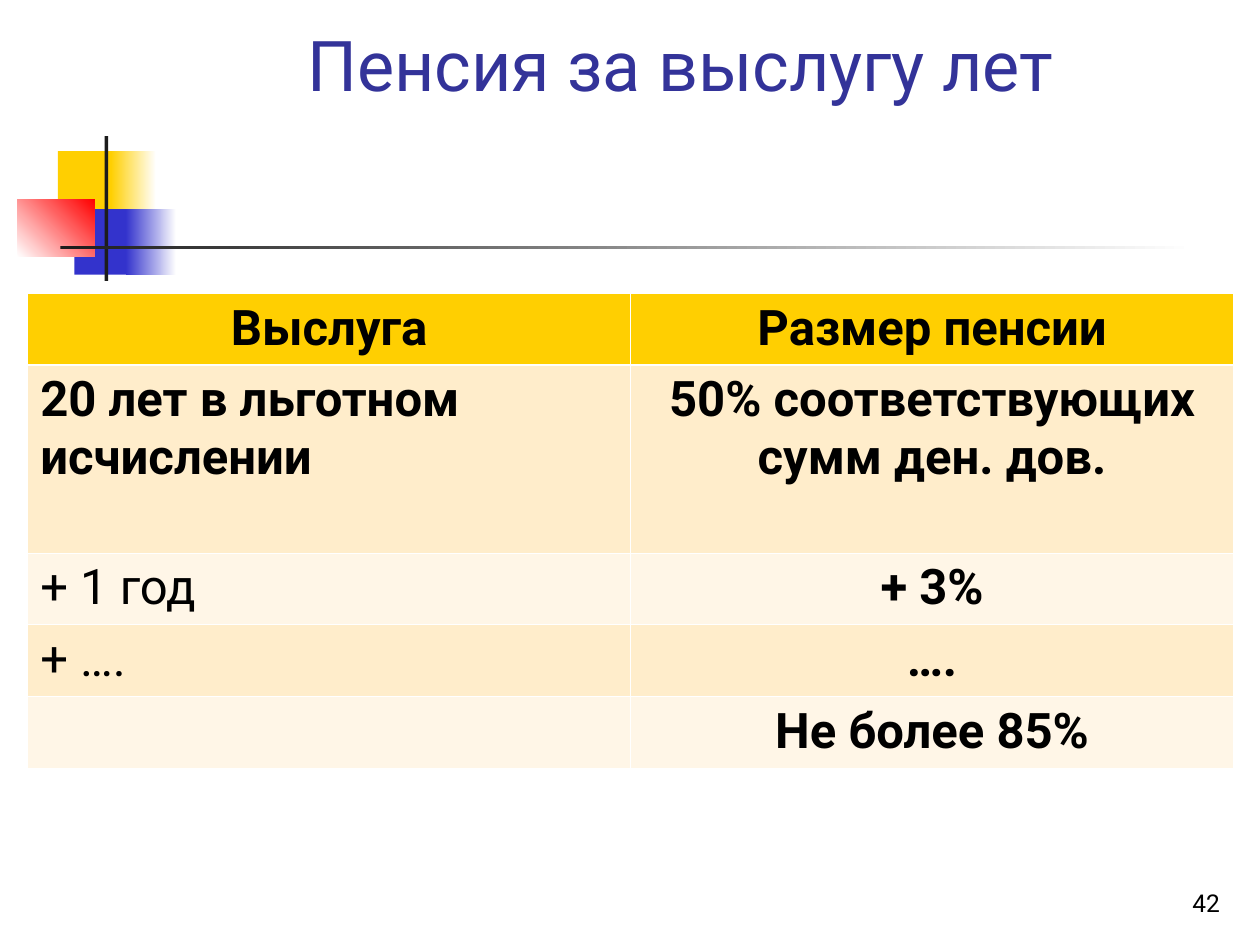
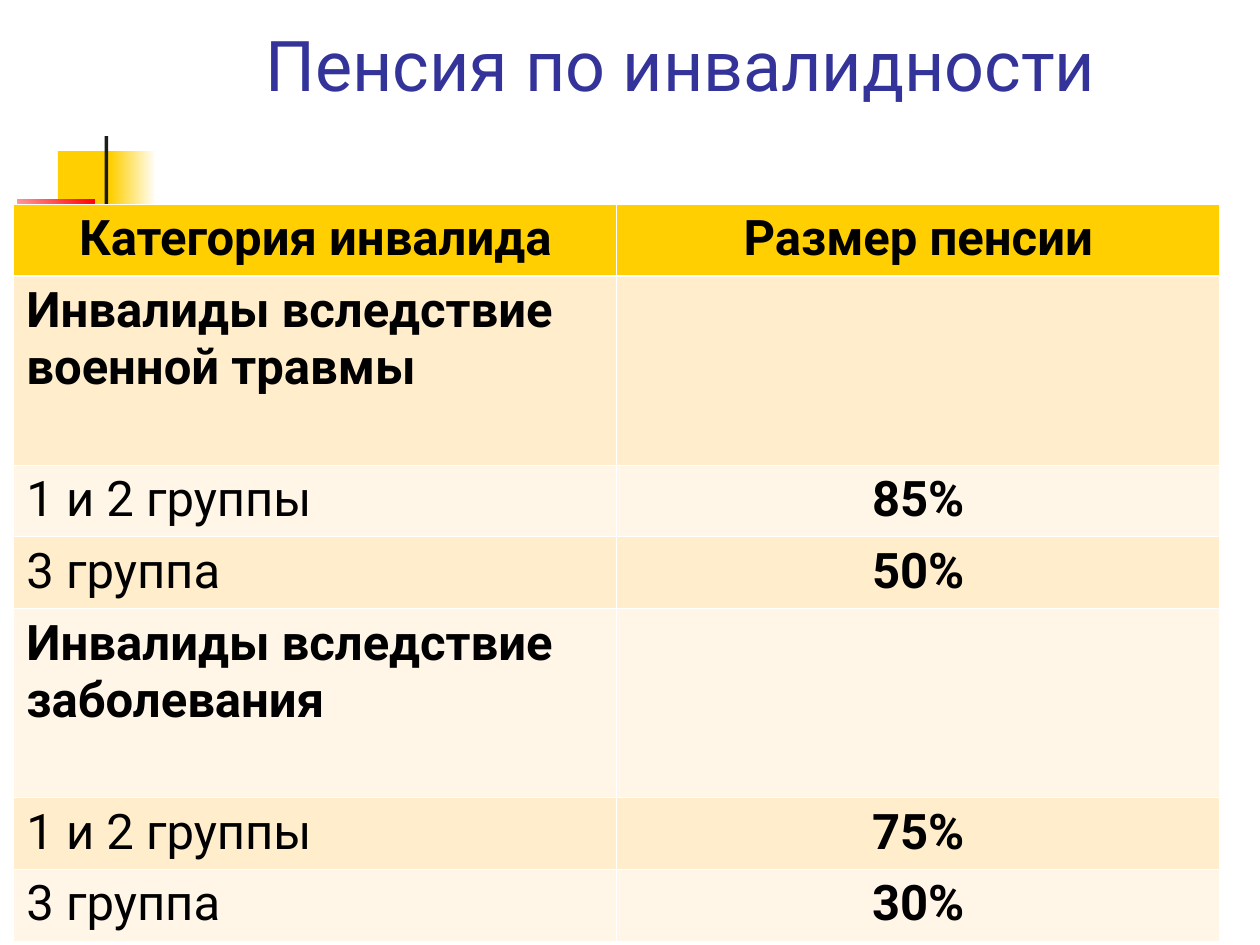
from typing import NamedTuple, Optional

from lxml.etree import SubElement
from pptx import Presentation
from pptx.dml.color import RGBColor as RGB
from pptx.enum.shapes import MSO_SHAPE as Shape
from pptx.enum.text import MSO_ANCHOR as Anchor, PP_ALIGN as Align
from pptx.oxml.ns import qn
from pptx.util import Emu, Inches, Pt

COLS, ROWS = 100, 75
WIDTH, HEIGHT = Inches(10), Inches(7.5)
FONT = "Roboto"
COLORS = {
    "white": "FFFFFF", "yellow": "FFCF01", "blue": "3333CC", "red": "FF0000",
    "dark": "1C1C1C", "title": "333399", "text": "000000",
    "band": "FFEDCB", "pale": "FFF6E7",
}
THIN, THICK = 0.45, 1.47
TABLE_COLS, ROW_H = 95.7, 5.7


class Box(NamedTuple):
    col: float
    row: float
    cols: float
    rows: float


class Block(NamedTuple):
    box: Box
    color: str
    fade_to: Optional[str] = None
    angle: int = 0


class Row(NamedTuple):
    label: str
    value: str = ""
    tall: bool = False


class Page(NamedTuple):
    title: str
    col: float
    row: float
    tall_h: float
    header: Row
    rows: list[Row]
    number: str = ""


EMBLEM = [
    Block(Box(4.6, 12, 4.8, 5.2), "yellow"),
    Block(Box(8.8, 12, 3.6, 5.2), "yellow", "white"),
    Block(Box(5.9, 16.6, 4.6, 5.2), "blue"),
    Block(Box(10, 16.6, 4, 5.2), "blue", "white"),
    Block(Box(1.4, 15.8, 6.1, 4.6), "white", "red", 45),
    Block(Box(8.3, 10.8, 0.3, 11.5), "dark"),
    Block(Box(4.8, 19.5, 90, 0.3), "dark", "white"),
]
TITLE_BOX = Box(11.4, 0.5, 85.2, 8.4)
NUMBER_BOX = Box(77, 68.3, 20.8, 5)

PAGES = [
    Page("Пенсия за выслугу лет", 2.2, 23.3, 14.9,
         Row("Выслуга", "Размер пенсии"),
         [Row("20 лет в льготном исчислении",
              "50% соответствующих сумм ден. дов.", True),
          Row("+ 1 год", "+ 3%"),
          Row("+ ….", "…."),
          Row("", "Не более 85%")],
         "42"),
    Page("Пенсия по инвалидности", 1.1, 16.2, 15,
         Row("Категория инвалида", "Размер пенсии"),
         [Row("Инвалиды вследствие военной травмы", tall=True),
          Row("1 и 2 группы", "85%"),
          Row("3 группа", "50%"),
          Row("Инвалиды вследствие заболевания", tall=True),
          Row("1 и 2 группы", "75%"),
          Row("3 группа", "30%")]),
]


def rgb(name: str) -> RGB:
    return RGB.from_string(COLORS[name])


def across(cols: float) -> Emu:
    return Emu(round(WIDTH * cols / COLS))


def down(rows: float) -> Emu:
    return Emu(round(HEIGHT * rows / ROWS))


def place(box: Box) -> tuple[Emu, Emu, Emu, Emu]:
    return across(box.col), down(box.row), across(box.cols), down(box.rows)


def write(tf, text: str, size: float, align: Align,
          color: str = "text", bold: bool = False) -> None:
    p = tf.paragraphs[0]
    p.alignment = align
    if not text:
        return
    r = p.add_run()
    r.text = text
    r.font.name, r.font.size, r.font.bold = FONT, Pt(size), bold
    r.font.color.rgb = rgb(color)


def add_block(s, block: Block) -> None:
    sp = s.shapes.add_shape(Shape.RECTANGLE, *place(block.box))
    sp.shadow.inherit = False
    sp.line.fill.background()
    if block.fade_to is None:
        sp.fill.solid()
        sp.fill.fore_color.rgb = rgb(block.color)
        return
    sp.fill.gradient()
    sp.fill.gradient_angle = block.angle
    ends = zip(sp.fill.gradient_stops, (block.color, block.fade_to), (0, 1))
    for stop, color, position in ends:
        stop.color.rgb = rgb(color)
        stop.position = position


def add_text(s, box: Box, text: str, size: float, align: Align, color: str) -> None:
    tf = s.shapes.add_textbox(*place(box)).text_frame
    tf.word_wrap = True
    tf.vertical_anchor = Anchor.BOTTOM
    write(tf, text, size, align, color)


def set_borders(cell, top: float, bottom: float) -> None:
    tc_pr = cell._tc.get_or_add_tcPr()
    for side, width in zip("LRTB", (THIN, THIN, top, bottom)):
        ln = SubElement(tc_pr, qn(f"a:ln{side}"), w=str(Pt(width)))
        fill = SubElement(ln, qn("a:solidFill"))
        SubElement(fill, qn("a:srgbClr"), val=COLORS["white"])


def add_pension_table(s, page: Page) -> None:
    rows = [page.header, *page.rows]
    heights = [page.tall_h if row.tall else ROW_H for row in rows]
    box = Box(page.col, page.row, TABLE_COLS, sum(heights))
    table = s.shapes.add_table(len(rows), 2, *place(box)).table
    table.first_row = table.horz_banding = False
    for column in table.columns:
        column.width = across(TABLE_COLS / 2)
    for i, (row, height) in enumerate(zip(rows, heights)):
        table.rows[i].height = down(height)
        is_header = i == 0
        fill = "yellow" if is_header else ("pale", "band")[i % 2]
        label_align = Align.CENTER if is_header else Align.LEFT
        label, value = table.cell(i, 0), table.cell(i, 1)
        for cell in (label, value):
            set_borders(cell, THICK if i == 1 else THIN,
                        THICK if is_header else THIN)
            cell.fill.solid()
            cell.fill.fore_color.rgb = rgb(fill)
        write(label.text_frame, row.label, 28, label_align,
              bold=is_header or row.tall)
        write(value.text_frame, row.value, 28, Align.CENTER, bold=True)


def add_page(prs, page: Page) -> None:
    s = prs.slides.add_slide(prs.slide_layouts[6])
    s.background.fill.solid()
    s.background.fill.fore_color.rgb = rgb("white")
    for block in EMBLEM:
        add_block(s, block)
    if page.number:
        add_text(s, NUMBER_BOX, page.number, 14, Align.RIGHT, "text")
    add_text(s, TITLE_BOX, page.title, 40, Align.CENTER, "title")
    add_pension_table(s, page)


def main() -> None:
    prs = Presentation()
    prs.slide_width, prs.slide_height = WIDTH, HEIGHT
    for page in PAGES:
        add_page(prs, page)
    prs.save("out.pptx")


if __name__ == "__main__":
    main()
